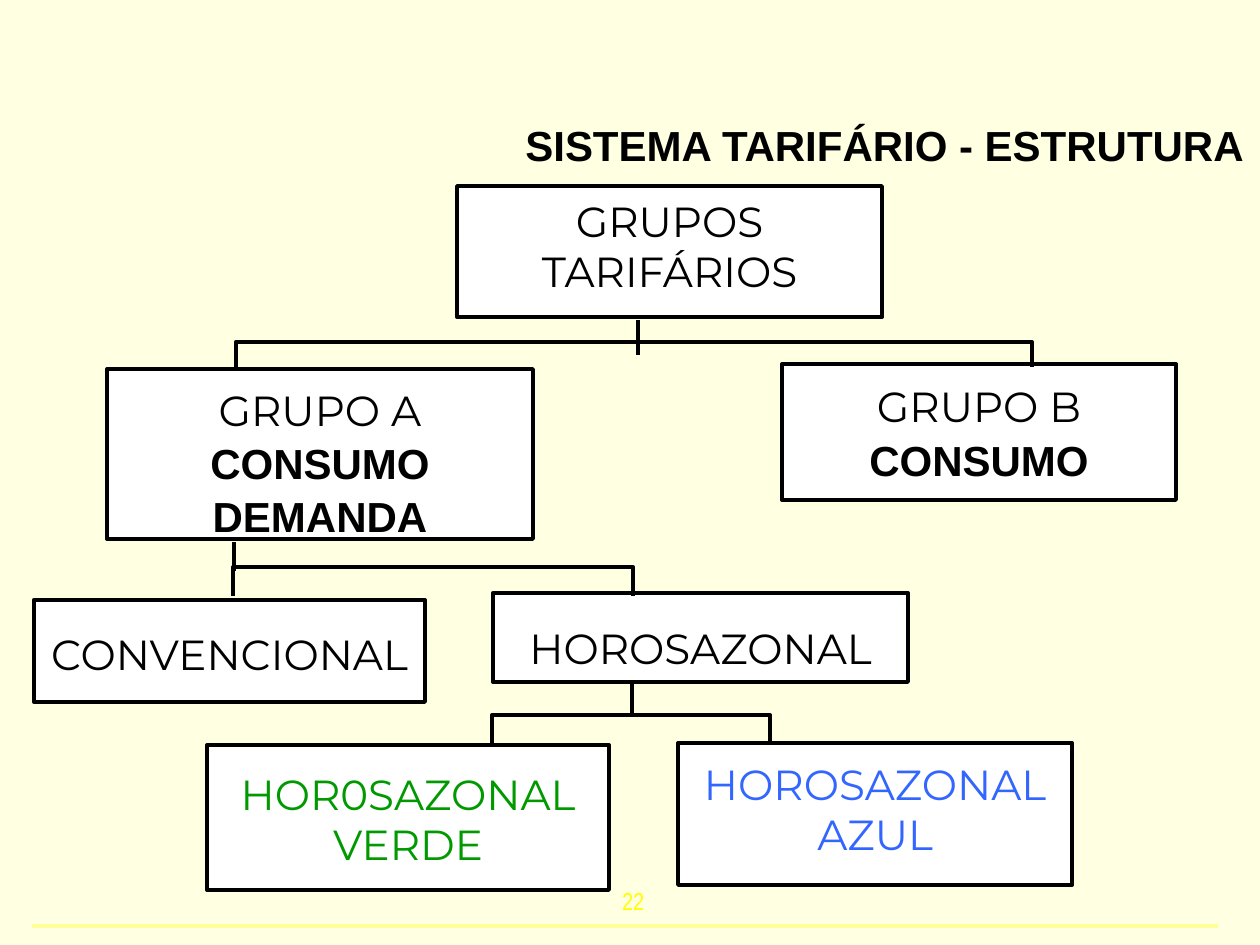
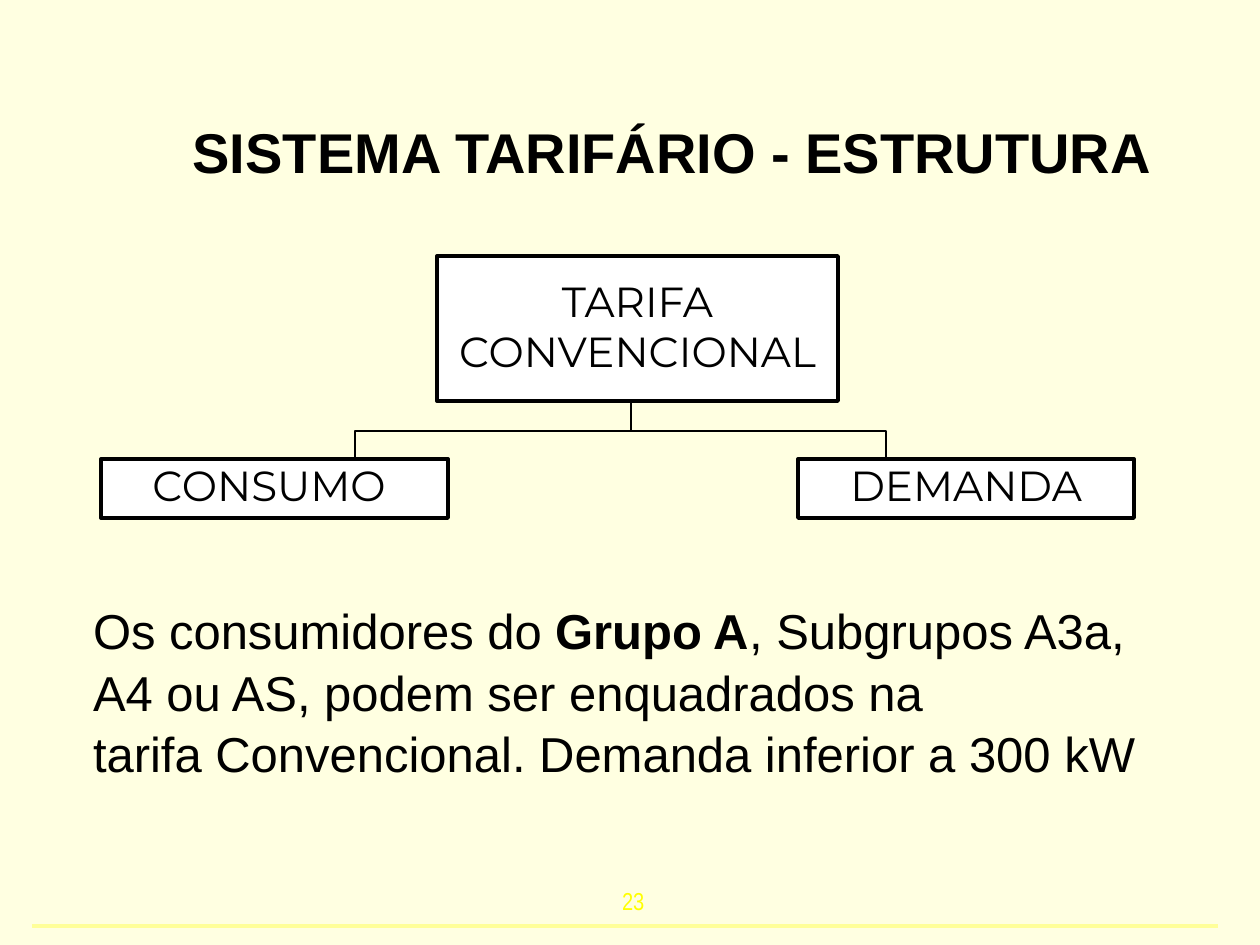
from lxml.etree import SubElement
from pptx import Presentation
from pptx.dml.color import RGBColor
from pptx.enum.shapes import MSO_CONNECTOR as Connector, MSO_SHAPE as Shape
from pptx.enum.text import MSO_ANCHOR as Anchor, MSO_AUTO_SIZE as AutoSize, PP_ALIGN as Align
from pptx.oxml.ns import qn
from pptx.util import Emu, Pt

EMU_PER_PX = 914400 / 126
COLORS = {
    "background": "FFFFE1",
    "rule": "FFFF99",
    "page": "FFFF00",
    "box": "FFFFFF",
    "ink": "000000",
    "green": "009900",
    "blue": "3366FF",
}
TITLE = "SISTEMA TARIFÁRIO - ESTRUTURA"
TITLE_ONLY = 5
BOX_FONT = {"name": "Montserrat", "size": Pt(24), "bold": False}
EMPHASIS_FONT = {"name": "Arial", "size": Pt(24), "bold": True}
BODY_FONT = {"name": "Arial", "size": Pt(28), "bold": False}
PAGE_FONT = {"name": "Arial Narrow", "size": Pt(14), "bold": False}
ARIAL_GAP = Pt(1.5)


def px(length):
    return Emu(round(length * EMU_PER_PX))


def rgb(color):
    return RGBColor.from_string(COLORS[color])


def set_values(target, values):
    for name, value in values.items():
        setattr(target, name, value)


def set_font(font, values, color="ink"):
    set_values(font, values)
    font.color.rgb = rgb(color)


def set_line(line, color, width):
    line.color.rgb = rgb(color)
    line.width = Pt(width)


def set_frame(frame, side, top):
    set_values(frame, {
        "word_wrap": True,
        "auto_size": AutoSize.NONE,
        "vertical_anchor": Anchor.TOP,
        "margin_left": px(side),
        "margin_right": px(side),
        "margin_top": px(top),
        "margin_bottom": 0,
    })


def add_lines(frame, lines, color="ink", align=Align.LEFT):
    for index, runs in enumerate(lines):
        paragraph = frame.paragraphs[0] if index == 0 else frame.add_paragraph()
        paragraph.alignment = align
        if index and runs[0][1]["name"] == "Arial":
            paragraph.space_before = ARIAL_GAP
        for text, font in runs:
            run = paragraph.add_run()
            run.text = text
            set_font(run.font, font, color)


def add_text(slide, bounds, lines, top, color="ink"):
    frame = slide.shapes.add_textbox(*map(px, bounds)).text_frame
    set_frame(frame, 13, top)
    add_lines(frame, lines, color)


def add_straight(slide, start, end, color="ink", width=2.25):
    straight = slide.shapes.add_connector(
        Connector.STRAIGHT, *map(px, (*start, *end)))
    set_line(straight.line, color, width)
    SubElement(straight._element.spPr, qn("a:effectLst"))


def add_group(slide, bounds, lines, top=0, color="ink"):
    group = slide.shapes.add_shape(Shape.RECTANGLE, *map(px, bounds))
    group.shadow.inherit = False
    group.fill.solid()
    group.fill.fore_color.rgb = rgb("box")
    set_line(group.line, "ink", 2.25)
    set_frame(group.text_frame, 0, top)
    add_lines(group.text_frame, lines, color, Align.CENTER)


def add_branch(slide, left, right, bar, foot, stem, width=2.25):
    builder = slide.shapes.build_freeform(px(left), px(foot))
    corners = [(left, bar), (right, bar), (right, foot)]
    builder.add_line_segments([(px(x), px(y)) for x, y in corners], close=False)
    bracket = builder.convert_to_shape()
    bracket.shadow.inherit = False
    bracket.fill.background()
    set_line(bracket.line, "ink", width)
    x, upper, lower = stem
    add_straight(slide, (x, lower), (x, upper), width=width)


def add_page(deck, number, title_bounds, title_size):
    slide = deck.slides.add_slide(deck.slide_layouts[TITLE_ONLY])
    add_straight(slide, (32, 926), (1218, 926), "rule")
    add_text(slide, (609, 877, 95, 43), [[(number, PAGE_FONT)]], 9, "page")
    title = slide.shapes.title
    bounds = map(px, title_bounds)
    set_values(title, dict(zip(("left", "top", "width", "height"), bounds)))
    set_frame(title.text_frame, 13, 11)
    title_font = {**EMPHASIS_FONT, "size": Pt(title_size)}
    add_lines(title.text_frame, [[(TITLE, title_font)]], align=Align.RIGHT)
    return slide


def box_lines(*names):
    return [[(name, BOX_FONT)] for name in names]


def emphasis_lines(*names):
    return [[(name, EMPHASIS_FONT)] for name in names]


def build_tariff_groups(deck):
    slide = add_page(deck, "22", (239, 108, 1018, 63), 24)
    groups = [
        ((457, 186, 425, 131), box_lines("GRUPOS TARIFÁRIOS"), 9, "ink"),
        ((107, 369, 426, 170),
         box_lines("GRUPO A") + emphasis_lines("CONSUMO", "DEMANDA"), 15, "ink"),
        ((782, 364, 394, 136),
         box_lines("GRUPO B") + emphasis_lines("CONSUMO"), 17, "ink"),
        ((34, 600, 391, 102), box_lines("CONVENCIONAL"), 29, "ink"),
        ((493, 593, 415, 89), box_lines("HOROSAZONAL"), 30, "ink"),
        ((207, 745, 402, 145), box_lines("HOR0SAZONAL", "VERDE"), 23, "green"),
        ((678, 743, 394, 142), box_lines("HOROSAZONAL", "AZUL"), 15, "blue"),
    ]
    for group in groups:
        add_group(slide, *group)
    add_branch(slide, 236, 1032, 342, 367, (638, 320, 355))
    add_branch(slide, 233, 633, 567, 596, (234, 542, 571))
    add_branch(slide, 492, 770, 715, 744, (632, 683, 715))


def build_conventional_tariff(deck):
    slide = add_page(deck, "23", (0, 106, 1165, 81), 32)
    add_group(slide, (437, 256, 401, 145), box_lines("TARIFA CONVENCIONAL"), 19)
    add_group(slide, (101, 459, 347, 59), box_lines("CONSUMO "))
    add_group(slide, (798, 459, 336, 59), box_lines("DEMANDA"))
    add_branch(slide, 355, 886, 431, 457, (631, 403, 431), 1.5)
    eligibility = [
        [("Os consumidores do", BODY_FONT),
         (" Grupo A", {**BODY_FONT, "bold": True}),
         (", Subgrupos A3a,", BODY_FONT)],
        [("A4 ou AS, podem ser enquadrados na", BODY_FONT)],
        [("tarifa Convencional. Demanda inferior a 300 kW", BODY_FONT)],
    ]
    add_text(slide, (80, 590, 1180, 189), eligibility, 11)


def main():
    deck = Presentation()
    set_values(deck, {"slide_width": px(1260), "slide_height": px(945)})
    background = deck.slide_master.background.fill
    background.solid()
    background.fore_color.rgb = rgb("background")
    build_tariff_groups(deck)
    build_conventional_tariff(deck)
    deck.save("out.pptx")


if __name__ == "__main__":
    main()
